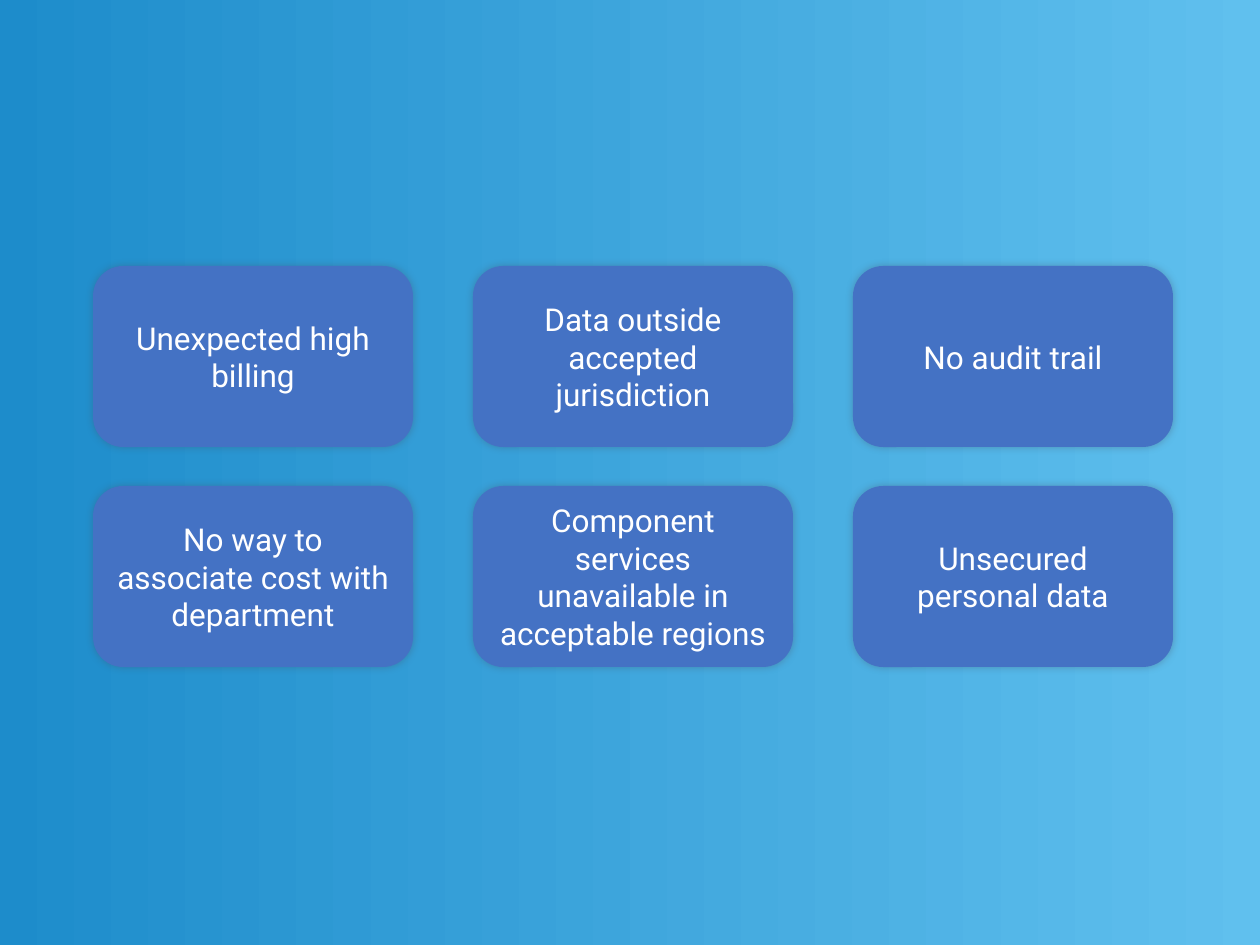
from lxml.etree import SubElement
from pptx import Presentation
from pptx.dml.color import RGBColor
from pptx.enum.shapes import MSO_SHAPE as Kind
from pptx.enum.text import MSO_ANCHOR as Anchor, PP_ALIGN as Align
from pptx.oxml.ns import qn
from pptx.util import Pt

PX = 914400 / 126
WIDE, HIGH = 1260, 945

WHITE = RGBColor(0xFF, 0xFF, 0xFF)
BLUE = RGBColor(0x44, 0x72, 0xC4)
SLATE = RGBColor(0x44, 0x54, 0x6A)
DEEP = RGBColor(0x1D, 0x8C, 0xCB)
SKY = RGBColor(0x60, 0xC0, 0xEE)

RISKS = [
    ["Unexpected high billing", "Data outside accepted jurisdiction",
     "No audit trail"],
    ["No way to associate cost with department",
     "Component services unavailable in acceptable regions",
     "Unsecured personal data"],
]


def emu(px):
    return round(px * PX)


def add_box(slide, kind, box):
    """Add a preset shape with no line and no shadow."""
    shape = slide.shapes.add_shape(kind, *map(emu, box))
    shape.shadow.inherit = False
    shape.line.fill.background()
    return shape


def add_text(shape, text, size=18, font="Roboto", color=WHITE,
             align=Align.CENTER, anchor=Anchor.MIDDLE):
    frame = shape.text_frame
    frame.word_wrap = True
    frame.vertical_anchor = anchor
    para = frame.paragraphs[0]
    para.alignment = align
    run = para.add_run()
    run.text = text
    run.font.size = Pt(size)
    run.font.name = font
    run.font.color.rgb = color


def add_glow(shape, color=SLATE, blur=5, alpha=40):
    """Add a soft shadow, centred behind the shape."""
    effects = shape.element.spPr.find(qn("a:effectLst"))
    shadow = SubElement(effects, qn("a:outerShdw"), blurRad=str(Pt(blur)),
                        dist="0", dir="0", algn="ctr", rotWithShape="0")
    tint = SubElement(shadow, qn("a:srgbClr"), val=str(color))
    SubElement(tint, qn("a:alpha"), val=str(alpha * 1000))


def add_backdrop(slide, box):
    fill = add_box(slide, Kind.RECTANGLE, box).fill
    fill.gradient()
    fill.gradient_angle = 0
    for stop, color in zip(fill.gradient_stops, (DEEP, SKY)):
        stop.color.rgb = color


def add_card(slide, box, text):
    card = add_box(slide, Kind.ROUNDED_RECTANGLE, box)
    card.fill.solid()
    card.fill.fore_color.rgb = BLUE
    add_glow(card)
    add_text(card, text)


def add_grid(slide, box, rows, gap_x=60, gap_y=39):
    """Spread the cards evenly over the box."""
    left, top, width, height = box
    step_x = (width + gap_x) // len(rows[0])
    step_y = (height + gap_y) // len(rows)
    for i, row in enumerate(rows):
        for j, text in enumerate(row):
            add_card(slide, (left + j * step_x, top + i * step_y,
                             step_x - gap_x, step_y - gap_y), text)


def main():
    deck = Presentation()
    deck.slide_width, deck.slide_height = emu(WIDE), emu(HIGH)
    slide = deck.slides.add_slide(deck.slide_layouts[6])
    add_backdrop(slide, (0, 0, WIDE, HIGH))
    add_grid(slide, (93, 266, 1080, 401), RISKS)
    deck.save("out.pptx")


if __name__ == "__main__":
    main()
